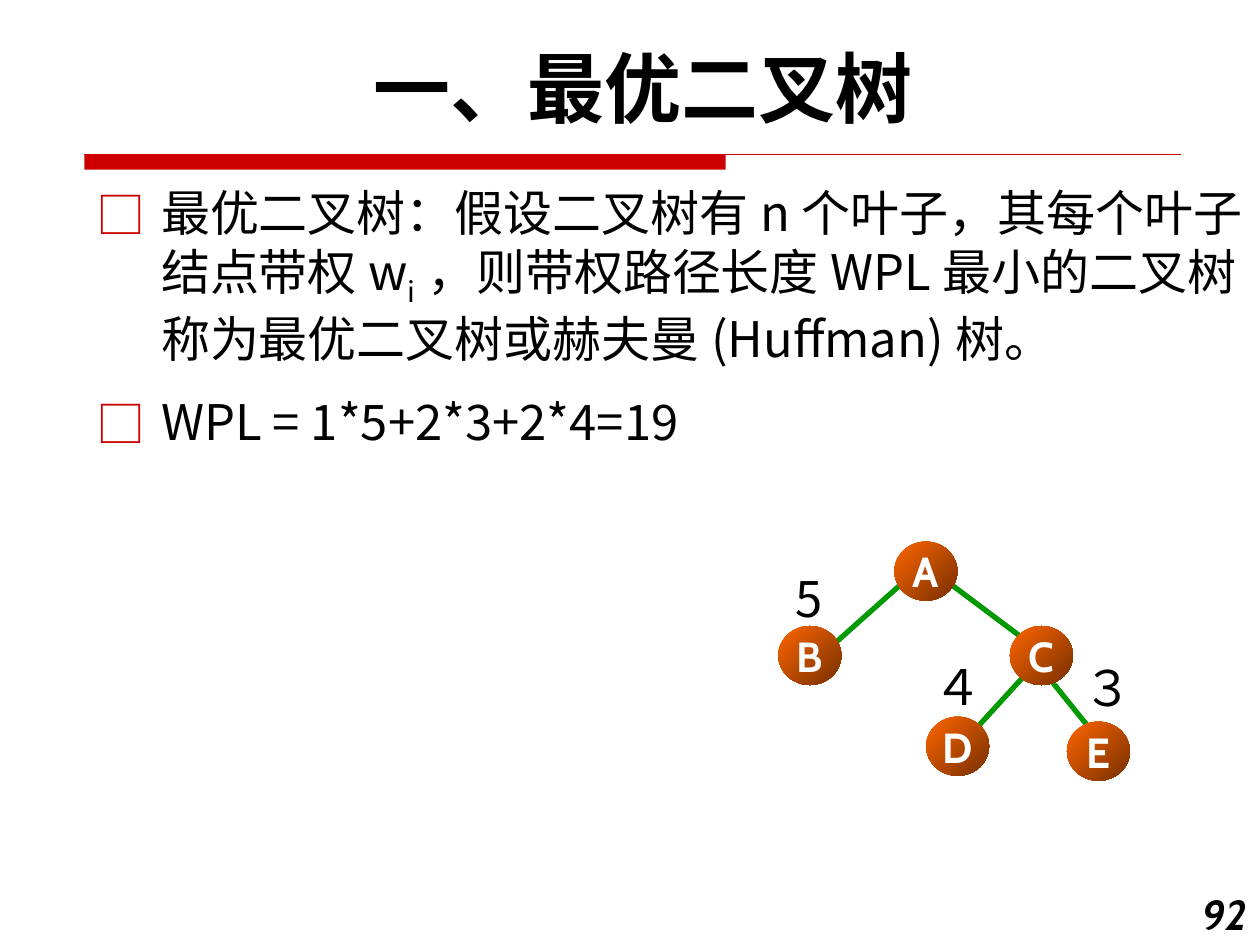
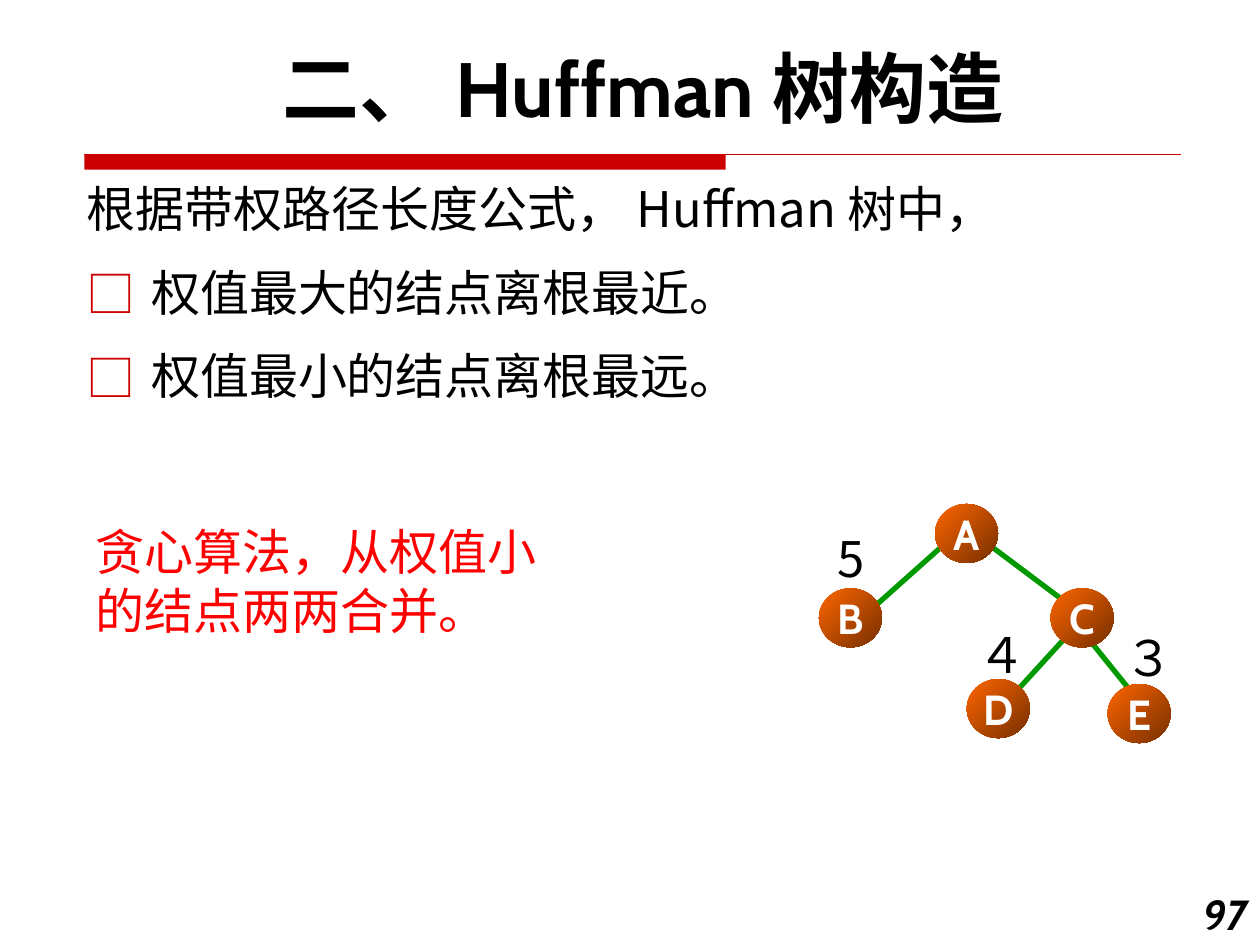
from lxml import etree
from pptx import Presentation
from pptx.dml.color import RGBColor
from pptx.enum.shapes import MSO_CONNECTOR, MSO_SHAPE
from pptx.enum.text import MSO_ANCHOR, MSO_AUTO_SIZE, PP_ALIGN
from pptx.oxml.ns import qn
from pptx.util import Cm, Pt

BLACK = RGBColor(0x00, 0x00, 0x00)
WHITE = RGBColor(0xFF, 0xFF, 0xFF)
BAND_RED = RGBColor(0xCC, 0x00, 0x00)
NOTE_RED = RGBColor(0xFF, 0x00, 0x00)
EDGE_GREEN = RGBColor(0x00, 0x99, 0x00)
NODE_ORANGE = RGBColor(0xFF, 0x66, 0x00)
NODE_BROWN = RGBColor(0x76, 0x2F, 0x00)

LEFT, CENTER, RIGHT = PP_ALIGN.LEFT, PP_ALIGN.CENTER, PP_ALIGN.RIGHT
TOP, MIDDLE = MSO_ANCHOR.TOP, MSO_ANCHOR.MIDDLE
NO_AUTOFIT = MSO_AUTO_SIZE.NONE
STRAIGHT = MSO_CONNECTOR.STRAIGHT
RECTANGLE, OVAL = MSO_SHAPE.RECTANGLE, MSO_SHAPE.OVAL

HEAD_FONT = "Cabin"
BODY_FONT = "Noto Sans CJK SC"
TITLE_ONLY = 5

# Huffman tree in cm, measured from the top left corner of node A
NODE_SIZE = (1.27, 1.19)
WEIGHT_SIZE = (0.84, 1.45)
NODES = {"A": (0, 0), "B": (-2.34, 1.7), "C": (2.33, 1.7),
         "D": (0.64, 3.53), "E": (3.48, 3.63)}
EDGES = [
    (0.94, 0.71, 2.54, 1.91),   # A to C
    (0.3, 0.71, -1.27, 2.11),   # A to B
    (2.84, 2.46, 1.68, 3.73),   # C to D
    (2.95, 2.54, 3.91, 3.73),   # C to E
]


class Deck:
    """Holds the shared style and the slide being built."""

    def __init__(self):
        self.prs = Presentation()
        self.prs.slide_width, self.prs.slide_height = Cm(25.4), Cm(19.05)
        self.slide = None

    def new_slide(self, title, number):
        self.slide = self.prs.slides.add_slide(self.prs.slide_layouts[TITLE_ONLY])
        self.band()
        self.title(title)
        page = self.text_box(self.slide.shapes, 23.7, 17.78, 1.7, 1.27)
        self.add_text(page.paragraphs[0], number, 24, HEAD_FONT, BLACK,
                      RIGHT, bold=True, italic=True)

    def add_text(self, paragraph, text, size, font, color, align=LEFT,
                 bold=False, italic=False, baseline=0):
        """Add one run with the font set for Latin and Chinese alike."""
        paragraph.alignment = align
        run = paragraph.add_run()
        run.text = text
        run.font.size, run.font.name = Pt(size), font
        run.font.bold, run.font.italic = bold, italic
        run.font.color.rgb = color
        r_pr = run._r.get_or_add_rPr()
        etree.SubElement(r_pr, qn("a:ea"), typeface=font)
        if baseline:
            r_pr.set("baseline", str(baseline * 1000))

    def text_box(self, shapes, x, y, width, height):
        box = shapes.add_textbox(Cm(x), Cm(y), Cm(width), Cm(height))
        box.text_frame.word_wrap = True
        return box.text_frame

    def line(self, shapes, x1, y1, x2, y2, color, width):
        line = shapes.add_connector(STRAIGHT, Cm(x1), Cm(y1), Cm(x2), Cm(y2))
        line.line.color.rgb = color
        line.line.width = Pt(width)
        etree.SubElement(line._element.spPr, qn("a:effectLst"))

    def band(self):
        bar = self.slide.shapes.add_shape(RECTANGLE, Cm(1.7), Cm(3.12), Cm(12.93), Cm(0.3))
        bar.shadow.inherit = False
        bar.fill.solid()
        bar.fill.fore_color.rgb = BAND_RED
        bar.line.fill.background()
        self.line(self.slide.shapes, 1.7, 3.12, 23.8, 3.12, BAND_RED, 0.75)

    def title(self, text):
        holder = self.slide.shapes.title
        holder.left, holder.top = Cm(1.22), Cm(0.91)
        holder.width, holder.height = Cm(23.5), Cm(1.96)
        frame = holder.text_frame
        frame.auto_size, frame.vertical_anchor = NO_AUTOFIT, TOP
        frame.paragraphs[0].line_spacing = 0.9
        self.add_text(frame.paragraphs[0], text, 44, HEAD_FONT, BLACK, CENTER, bold=True)

    def bullet(self, paragraph):
        p_pr = paragraph._p.get_or_add_pPr()
        p_pr.set("marL", str(Cm(1.3)))
        p_pr.set("indent", str(-Cm(1.3)))
        color = etree.SubElement(p_pr, qn("a:buClr"))
        etree.SubElement(color, qn("a:srgbClr"), val=str(BAND_RED))
        etree.SubElement(p_pr, qn("a:buFont"), typeface=BODY_FONT)
        etree.SubElement(p_pr, qn("a:buChar"), char="□")

    def body(self, x, y, width, height, items, color=BLACK):
        """Each item is (bulleted, [(text, baseline in percent), ...])."""
        frame = self.text_box(self.slide.shapes, x, y, width, height)
        for index, (bulleted, pieces) in enumerate(items):
            paragraph = frame.add_paragraph() if index else frame.paragraphs[0]
            if bulleted:
                self.bullet(paragraph)
            if index:
                paragraph.space_before = Pt(14)
            for text, baseline in pieces:
                self.add_text(paragraph, text, 28, BODY_FONT, color, baseline=baseline)

    def node(self, shapes, letter, x, y):
        node = shapes.add_shape(OVAL, Cm(x), Cm(y), *map(Cm, NODE_SIZE))
        node.shadow.inherit = False
        node.line.fill.background()
        node.fill.gradient()
        node.fill.gradient_angle = 315
        for stop, color in zip(node.fill.gradient_stops, (NODE_ORANGE, NODE_BROWN)):
            stop.color.rgb = color
        frame = node.text_frame
        frame.margin_left = frame.margin_right = 0
        frame.word_wrap, frame.vertical_anchor = False, MIDDLE
        self.add_text(frame.paragraphs[0], letter, 24, HEAD_FONT, WHITE, CENTER, bold=True)

    def tree(self, x, y, weights):
        """Draw the tree with node A at x, y; weights maps a label to its offset."""
        shapes = self.slide.shapes.add_group_shape().shapes
        for x1, y1, x2, y2 in EDGES:
            self.line(shapes, x + x1, y + y1, x + x2, y + y2, EDGE_GREEN, 3)
        for letter, (dx, dy) in NODES.items():
            self.node(shapes, letter, x + dx, y + dy)
        for weight, (dx, dy) in weights.items():
            frame = self.text_box(shapes, x + dx, y + dy, *WEIGHT_SIZE)
            frame.margin_left = frame.margin_right = 0
            self.add_text(frame.paragraphs[0], weight, 28, BODY_FONT, BLACK, CENTER)


def main():
    deck = Deck()

    # Definition of the optimal binary tree
    deck.new_slide("一、最优二叉树", "92")
    deck.body(1.7, 3.56, 24.33, 6.2, [
        (True, [("最优二叉树：假设二叉树有n个叶子，其每个叶子结点带权w", 0),
                ("i", -25),
                ("，则带权路径长度WPL最小的二叉树称为最优二叉树或赫夫曼(Huffman)树。", 0)]),
        (True, [("WPL = 1*5+2*3+2*4=19", 0)]),
    ])
    deck.tree(18.03, 10.92, {"5": (-2.13, 0.41), "３": (3.81, 2.21), "４": (0.79, 2.18)})

    # Construction of the Huffman tree
    deck.new_slide("二、Huffman树构造", "97")
    deck.body(1.5, 3.48, 24.33, 3.71, [
        (False, [("根据带权路径长度公式，Huffman树中，", 0)]),
        (True, [("权值最大的结点离根最近。", 0)]),
        (True, [("权值最小的结点离根最远。", 0)]),
    ])
    deck.tree(18.85, 10.16, {"5": (-2.11, 0.36), "３": (3.81, 2.36), "４": (0.86, 2.31)})
    deck.body(1.68, 10.39, 9.42, 2.64,
              [(False, [("贪心算法，从权值小的结点两两合并。", 0)])], NOTE_RED)

    deck.prs.save("out.pptx")


if __name__ == "__main__":
    main()
